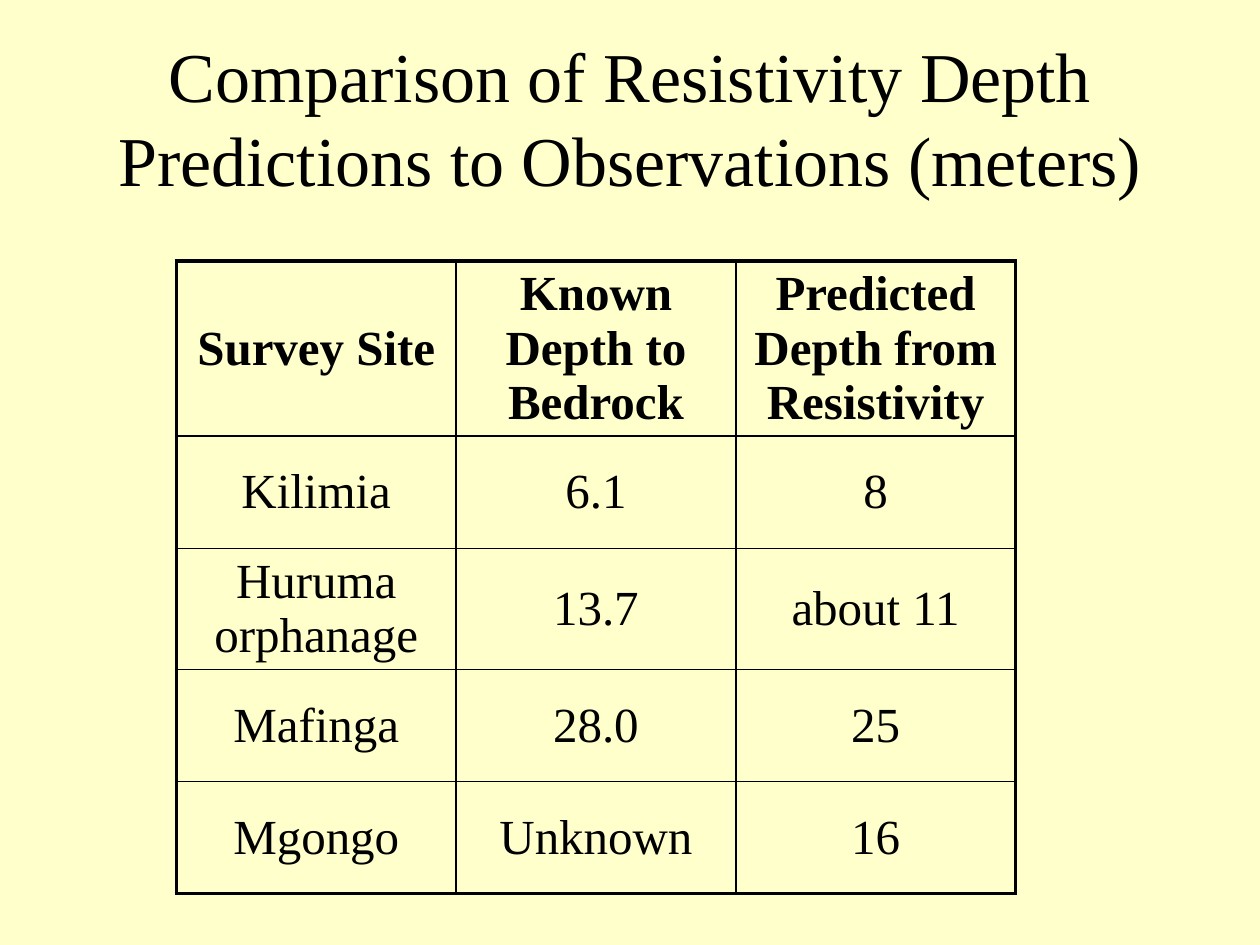
from dataclasses import dataclass

from lxml.etree import SubElement
from pptx import Presentation
from pptx.dml.color import RGBColor
from pptx.enum.text import MSO_ANCHOR as Anchor, PP_ALIGN as Align
from pptx.oxml.ns import qn
from pptx.util import Inches, Pt


@dataclass(frozen=True)
class Theme:
    font: str = "Times New Roman"
    ink: str = "000000"
    paper: str = "FFFFCC"
    title_size: int = 40
    cell_size: int = 28
    inner_line: float = 1
    outer_line: float = 2.25


THEME = Theme()

ROWS = [
    ["Survey Site", "Known Depth to Bedrock", "Predicted Depth from Resistivity"],
    ["Kilimia", "6.1", "8"],
    ["Huruma orphanage", "13.7", "about 11"],
    ["Mafinga", "28.0", "25"],
    ["Mgongo", "Unknown", "16"],
]


def write(tf, text, size, bold=False):
    tf.text = text
    tf.word_wrap = True
    p = tf.paragraphs[0]
    p.alignment = Align.CENTER
    p.font.name = THEME.font
    p.font.size = Pt(size)
    p.font.bold = bold
    p.font.color.rgb = RGBColor.from_string(THEME.ink)


def add_title(s, text):
    title = s.shapes.title
    title.left, title.top = Inches(0.5), Inches(0.3)
    title.width, title.height = Inches(9), Inches(1.25)
    write(title.text_frame, text, THEME.title_size)
    title.text_frame.vertical_anchor = Anchor.MIDDLE


def set_borders(cell, outer):
    """Draw all four sides, heavy where outer marks the table's edge."""
    tcPr = cell._tc.get_or_add_tcPr()
    for side in ("L", "R", "T", "B"):
        width = THEME.outer_line if outer[side] else THEME.inner_line
        ln = SubElement(tcPr, qn(f"a:ln{side}"), w=str(Pt(width)))
        fill = SubElement(ln, qn("a:solidFill"))
        SubElement(fill, qn("a:srgbClr"), val=THEME.ink)


def add_depth_table(s, rows):
    n_rows, n_cols = len(rows), len(rows[0])
    col_width, row_height = Inches(2.22), Inches(0.89)
    table = s.shapes.add_table(n_rows, n_cols, Inches(1.4), Inches(2.07),
                               col_width * n_cols, row_height * n_rows).table
    table.horz_banding = False
    for i, row in enumerate(rows):
        for j, text in enumerate(row):
            cell = table.cell(i, j)
            write(cell.text_frame, text, THEME.cell_size, bold=i == 0)
            cell.vertical_anchor = Anchor.MIDDLE
            set_borders(cell, {"L": j == 0, "R": j == n_cols - 1,
                               "T": i == 0, "B": i == n_rows - 1})
            cell.fill.background()


def main():
    prs = Presentation()
    prs.slide_width, prs.slide_height = Inches(10), Inches(7.5)
    s = prs.slides.add_slide(prs.slide_layouts[5])
    s.background.fill.solid()
    s.background.fill.fore_color.rgb = RGBColor.from_string(THEME.paper)
    add_title(s, "Comparison of Resistivity Depth Predictions to Observations (meters)")
    add_depth_table(s, ROWS)
    prs.save("out.pptx")


if __name__ == "__main__":
    main()
